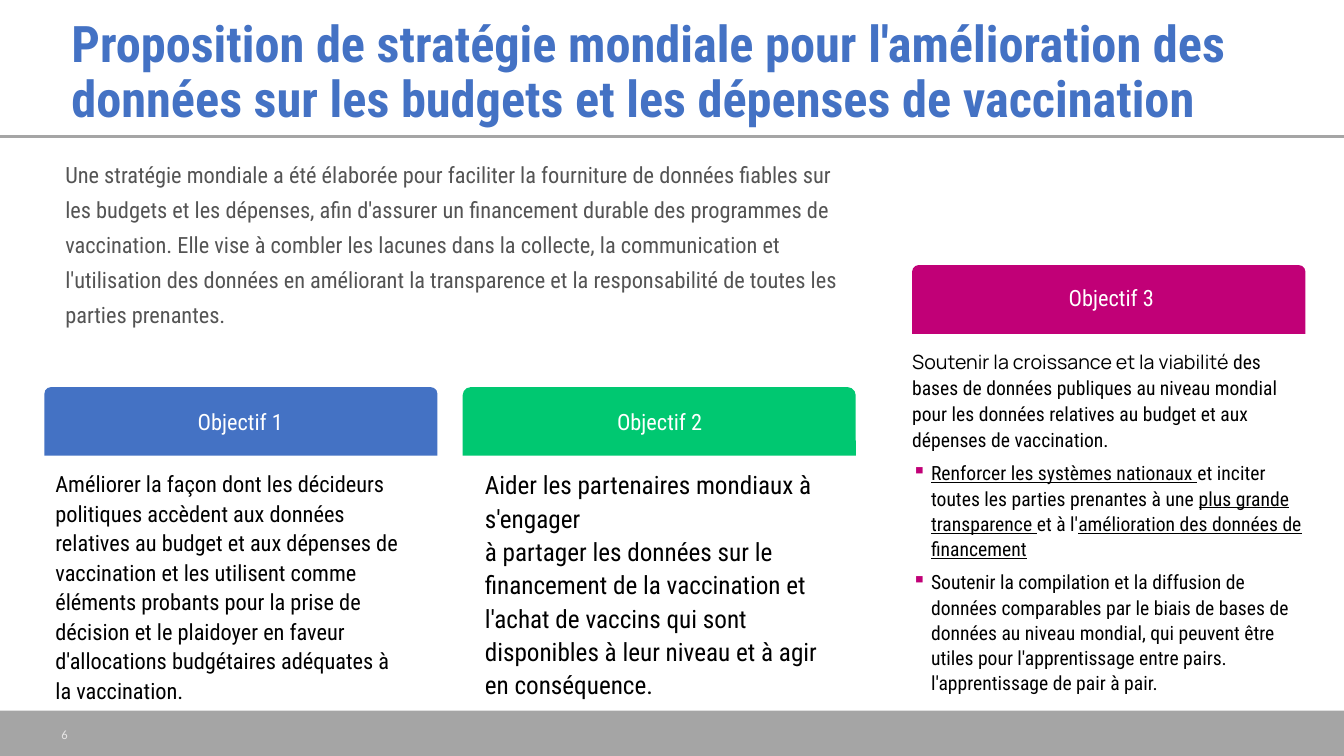
import pptx
import pptx.dml.color
import pptx.enum.shapes
import pptx.enum.text
import pptx.oxml
import pptx.oxml.ns
import pptx.util
import lxml.etree

Pt = pptx.util.Pt
SHAPES = pptx.enum.shapes.MSO_SHAPE
ALIGN = pptx.enum.text.PP_ALIGN
ANCHOR = pptx.enum.text.MSO_ANCHOR
CONDENSED = "Roboto Condensed"
GREY = "A5A5A5"
BLUE = "4472C4"
MAGENTA = "C10077"
GREEN = "00C871"


def color(value):
    return pptx.dml.color.RGBColor.from_string(value)


def add_element(parent, tag, **attributes):
    element = lxml.etree.SubElement(parent, pptx.oxml.ns.qn(tag))
    for name, value in attributes.items():
        element.set(name, value)
    return element


def add_block(page, kind, left, top, width, height, fill, corner=None):
    block = page.shapes.add_shape(kind, Pt(left), Pt(top), Pt(width), Pt(height))
    block.shadow.inherit = False
    block.fill.solid()
    block.fill.fore_color.rgb = color(fill)
    block.line.fill.background()
    if corner is not None:
        block.adjustments[0] = corner


def add_rule(page, left, top, right):
    rule = page.shapes.add_connector(
        pptx.enum.shapes.MSO_CONNECTOR.STRAIGHT, Pt(left), Pt(top), Pt(right), Pt(top))
    rule.line.color.rgb = color(GREY)
    rule.line.width = Pt(2.25)
    add_element(rule._element.spPr, "a:effectLst")


def add_box(page, left, top, width, height, inset=(0, 0), anchor=ANCHOR.TOP):
    box = page.shapes.add_textbox(Pt(left), Pt(top), Pt(width), Pt(height))
    frame = box.text_frame
    frame.word_wrap = True
    frame.vertical_anchor = anchor
    frame.margin_left = frame.margin_right = Pt(inset[0])
    frame.margin_top = frame.margin_bottom = Pt(inset[1])
    return box


def format_para(para, spacing=1.0, before=0, after=0, align=ALIGN.LEFT):
    para.line_spacing = spacing
    para.space_before = Pt(before)
    para.space_after = Pt(after)
    para.alignment = align


def add_bullet(para, indent, fill):
    properties = para._p.get_or_add_pPr()
    properties.set("marL", str(Pt(indent)))
    properties.set("indent", str(-Pt(indent)))
    add_element(add_element(properties, "a:buClr"), "a:srgbClr", val=fill)
    add_element(properties, "a:buChar", char="▪")


def add_text(para, text, size=16, font=CONDENSED, fill="000000", bold=False, underline=False):
    for index, line in enumerate(text.split("\n")):
        if index:
            para.add_line_break()
        span = para.add_run()
        span.text = line
        span.font.size = Pt(size)
        span.font.name = font
        span.font.bold = bold
        span.font.underline = underline
        span.font.color.rgb = color(fill)


def add_passage(page, place, text, inset=(0, 0), anchor=ANCHOR.TOP, layout=None, **style):
    para = add_box(page, *place, inset=inset, anchor=anchor).text_frame.paragraphs[0]
    format_para(para, **(layout or {}))
    add_text(para, text, **style)


def add_objective(page, number, left, top, fill, corner, label_left, label_top):
    add_block(page, SHAPES.ROUND_2_SAME_RECTANGLE, left, top, 280.8, 49, fill, corner)
    add_passage(page, (label_left, label_top, 280, 17.3), f"Objectif {number}", fill="FFFFFF",
                layout=dict(spacing=Pt(17), before=10, after=12, align=ALIGN.CENTER))


def add_third_objective_details(page):
    frame = add_box(page, 651.6, 248.4, 283.7, 249).text_frame
    intro = frame.paragraphs[0]
    format_para(intro, spacing=1.1, after=6)
    add_text(intro, "Soutenir la croissance et la viabilité ", size=14, font="Manrope")
    add_text(intro, "des bases de données publiques au niveau mondial pour les données "
             "relatives au budget et aux dépenses de vaccination.", size=14)
    bullets = [
        [("Renforcer les systèmes nationaux ", True),
         ("et inciter toutes les parties prenantes à une ", False),
         ("plus grande transparence ", True),
         ("et à l'", False),
         ("amélioration des données de financement", True)],
        [("Soutenir la compilation et la diffusion de données comparables par le biais de "
          "bases de données au niveau mondial, qui peuvent être utiles pour l'apprentissage "
          "entre pairs. \nl'apprentissage de pair à pair.", False)],
    ]
    for spans in bullets:
        para = frame.add_paragraph()
        format_para(para, spacing=1.07, after=6)
        add_bullet(para, 13.5, MAGENTA)
        for text, underline in spans:
            add_text(para, text, size=14, underline=underline)


def main():
    deck = pptx.Presentation()
    deck.slide_width, deck.slide_height = Pt(960), Pt(540)
    page = deck.slides.add_slide(deck.slide_layouts[6])

    add_block(page, SHAPES.RECTANGLE, -0.5, 507.6, 960.5, 33, GREY)
    add_rule(page, -0.5, 97.2, 960.5)
    add_passage(page, (43.9, 519.1, 26, 10.8), "6", anchor=ANCHOR.BOTTOM,
                size=9, font="Calibri", fill="E7E6E6")
    add_passage(page, (43.9, 13.7, 872.6, 77.8),
                "Proposition de stratégie mondiale pour l'amélioration des données sur les "
                "budgets et les dépenses de vaccination",
                inset=(7.2, 3.6), anchor=ANCHOR.MIDDLE, layout=dict(spacing=0.9),
                size=36, fill=BLUE, bold=True)

    body = dict(spacing=1.1, after=6)
    add_passage(page, (39.6, 334.1, 249.8, 169.2),
                "Améliorer la façon dont les décideurs politiques accèdent aux données "
                "relatives au budget et aux dépenses de vaccination et les utilisent comme "
                "éléments probants pour la prise de décision et le plaidoyer en faveur "
                "d'allocations budgétaires adéquates à la vaccination.", layout=body)
    add_passage(page, (346.3, 333.4, 249.8, 166.3),
                "Aider les partenaires mondiaux à s'engager \nà partager les données sur le "
                "financement de la vaccination et l'achat de vaccins qui sont disponibles à "
                "leur niveau et à agir en conséquence.", layout=body, size=18)
    add_third_objective_details(page)

    add_objective(page, 1, 31.7, 276.5, BLUE, 0.1, 31.7, 293.8)
    add_objective(page, 2, 330.5, 276.5, GREEN, 0.12, 331.2, 293.8)
    add_objective(page, 3, 651.6, 189.4, MAGENTA, 0.09, 653.8, 205.2)

    add_passage(page, (39.6, 105.8, 573.8, 131.8),
                "Une stratégie mondiale a été élaborée pour faciliter la fourniture de données "
                "fiables sur les budgets et les dépenses, afin d'assurer un financement durable "
                "des programmes de vaccination. Elle vise à combler les lacunes dans la "
                "collecte, la communication et l'utilisation des données en améliorant la "
                "transparence et la responsabilité de toutes les parties prenantes.",
                inset=(7.2, 3.6), layout=dict(spacing=1.3, before=1.5, after=1.5), fill="545454")

    deck.save("out.pptx")


if __name__ == "__main__":
    main()
